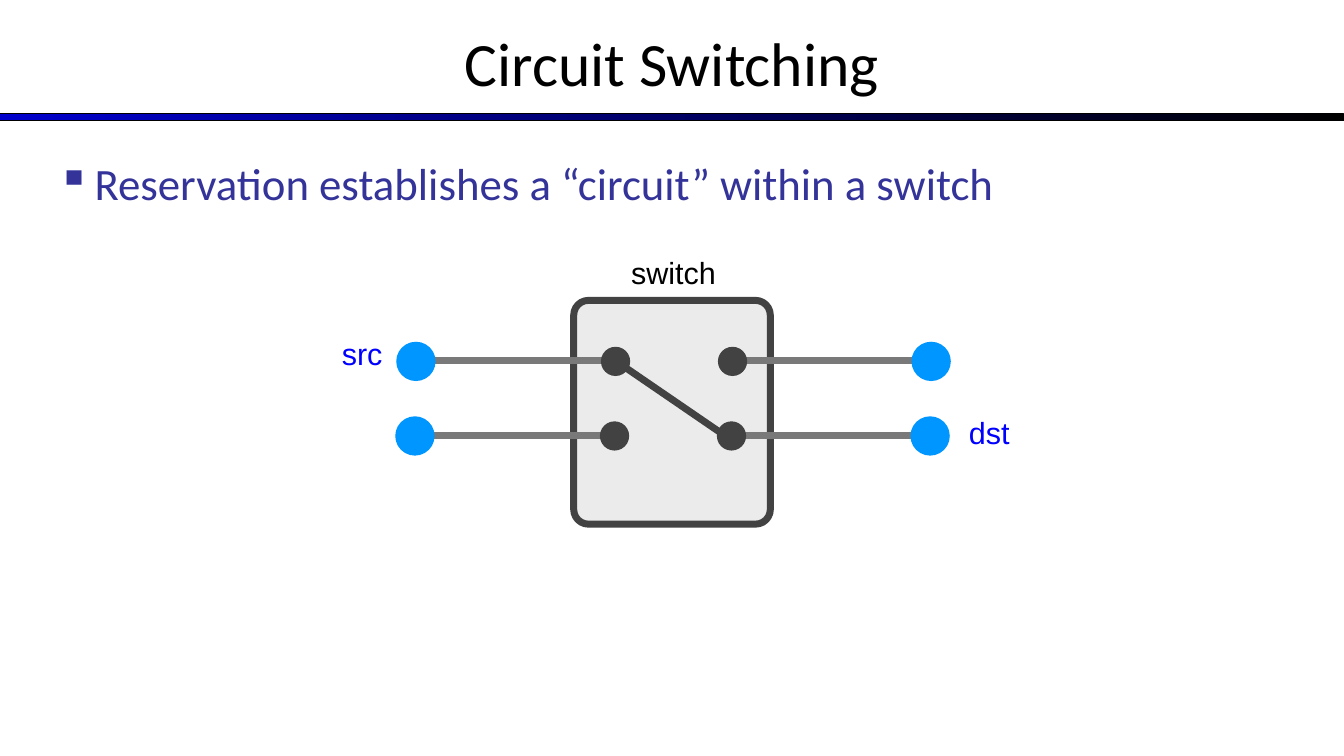
from lxml.etree import SubElement
from pptx import Presentation
from pptx.dml.color import RGBColor
from pptx.enum.shapes import MSO_CONNECTOR, MSO_SHAPE
from pptx.enum.text import MSO_ANCHOR, PP_ALIGN
from pptx.oxml.ns import qn
from pptx.util import Emu, Pt

PX = 9144  # EMU per px, 100 px to the inch
COLORS = {
    "black": "000000",
    "bar": "0000CC",
    "bullet": "333399",
    "label": "0000FF",
    "host": "0096FF",
    "wire": "797979",
    "dark": "424242",
    "panel": "EBEBEB",
}


def px(*lengths):
    return [Emu(length * PX) for length in lengths]


def color(name):
    return RGBColor.from_string(COLORS[name])


def add_span(para, text, size, font, ink):
    span = para.add_run()
    span.text = text
    span.font.size = Pt(size)
    span.font.name = font
    span.font.color.rgb = color(ink)


def set_frame(frame, anchor, side, edge, wrap=True):
    frame.word_wrap = wrap
    frame.vertical_anchor = anchor
    frame.margin_left = frame.margin_right = px(side)[0]
    frame.margin_top = frame.margin_bottom = px(edge)[0]


def add_title(page, text):
    title = page.shapes.title
    title.left, title.top, title.width, title.height = px(0, 0, 1333, 122)
    set_frame(title.text_frame, MSO_ANCHOR.MIDDLE, 10, 5)
    para = title.text_frame.paragraphs[0]
    para.alignment = PP_ALIGN.CENTER
    add_span(para, text, 44, "Calibri", "black")


def add_bar(page):
    bar = page.shapes.add_shape(MSO_SHAPE.RECTANGLE, *px(0, 113, 1333, 7))
    bar.shadow.inherit = False
    bar.fill.gradient()
    bar.fill.gradient_angle = 0
    for stop, ink in zip(bar.fill.gradient_stops, ("bar", "black")):
        stop.color.rgb = color(ink)
    bar.line.color.rgb = color("black")
    bar.line.width = Pt(0.75)


def add_bullet(page, text):
    box = page.shapes.add_textbox(*px(47, 150, 1244, 517))
    set_frame(box.text_frame, MSO_ANCHOR.TOP, 10, 5)
    para = box.text_frame.paragraphs[0]
    para.space_before = Pt(6.4)
    add_span(para, text, 32, "Calibri", "bullet")
    # Hanging square bullet
    props = para._p.get_or_add_pPr()
    props.set("marL", str(37 * PX))
    props.set("indent", str(-37 * PX))
    ink = SubElement(props, qn("a:buClr"))
    SubElement(ink, qn("a:srgbClr"), val=COLORS["bullet"])
    SubElement(props, qn("a:buChar"), char="▪")


def add_panel(page):
    panel = page.shapes.add_shape(MSO_SHAPE.ROUNDED_RECTANGLE, *px(569, 298, 195, 222))
    panel.shadow.inherit = False
    panel.adjustments[0] = 0.075
    panel.fill.solid()
    panel.fill.fore_color.rgb = color("panel")
    panel.line.color.rgb = color("dark")
    panel.line.width = Pt(5)


def add_wire(page, start, end, ink):
    wire = page.shapes.add_connector(MSO_CONNECTOR.STRAIGHT, *px(*start, *end))
    wire.line.color.rgb = color(ink)
    wire.line.width = Pt(5)
    SubElement(wire._element.spPr, qn("a:effectLst"))


def add_dot(page, x, y, size, ink):
    corner = px(x - size // 2, y - size // 2, size, size)
    dot = page.shapes.add_shape(MSO_SHAPE.OVAL, *corner)
    dot.shadow.inherit = False
    dot.fill.solid()
    dot.fill.fore_color.rgb = color(ink)
    dot.line.fill.background()


def add_label(page, text, left, top, width, ink):
    box = page.shapes.add_textbox(*px(left, top, width, 45))
    set_frame(box.text_frame, MSO_ANCHOR.MIDDLE, 4, 4, wrap=False)
    add_span(box.text_frame.paragraphs[0], text, 21.8, "Arial", ink)


def main():
    deck = Presentation()
    deck.slide_width, deck.slide_height = px(1333, 750)
    page = deck.slides.add_slide(deck.slide_layouts[5])

    # Heading and bullet
    add_bar(page)
    add_title(page, "Circuit Switching")
    add_bullet(page, "Reservation establishes a “circuit” within a switch")

    # Switch with its internal circuit
    add_panel(page)
    add_wire(page, (615, 361), (726, 437), "dark")

    # Two rows of hosts wired to ports; the lower row sits 1 px to the left
    for shift, y in ((0, 358), (-1, 432)):
        for host, port in ((412, 610), (923, 726)):
            add_wire(page, (host + shift, y), (port + shift, y), "wire")
            add_dot(page, host + shift, y, 39, "host")
            add_dot(page, port + shift, y, 29, "dark")

    # Labels
    add_label(page, "switch", 622, 248, 93, "black")
    add_label(page, "src", 335, 328, 49, "label")
    add_label(page, "dst", 957, 406, 49, "label")

    deck.save("out.pptx")


if __name__ == "__main__":
    main()
